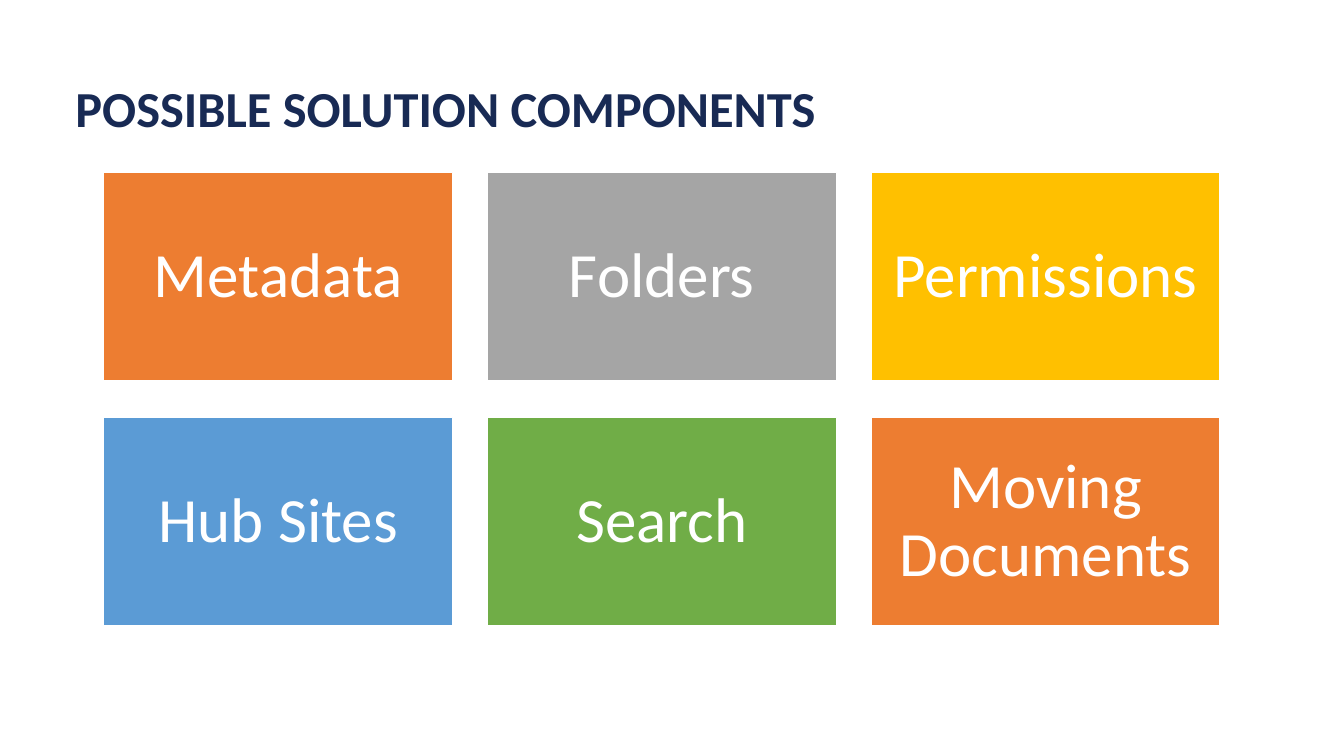
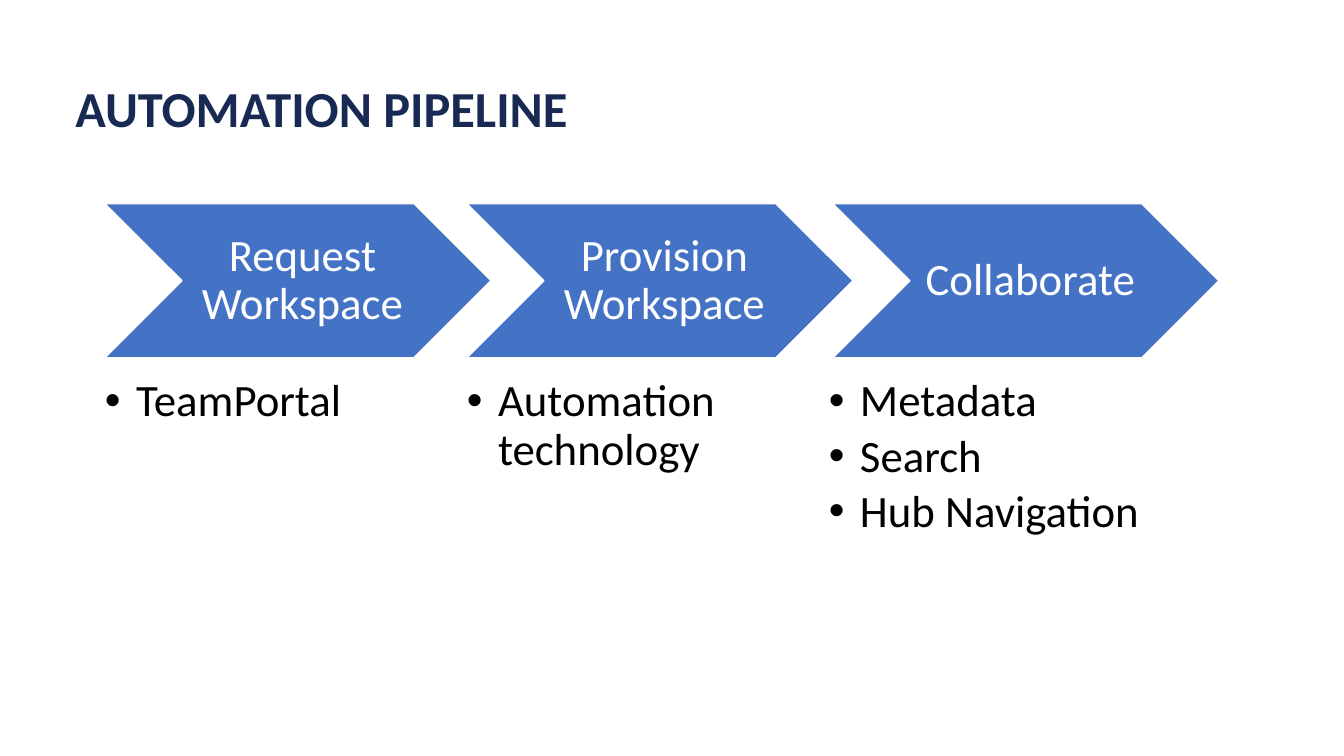
from lxml.etree import SubElement
from pptx import Presentation
from pptx.dml.color import RGBColor
from pptx.enum.shapes import MSO_SHAPE
from pptx.enum.text import MSO_ANCHOR, PP_ALIGN
from pptx.oxml.ns import qn
from pptx.util import Inches, Pt

NAVY = RGBColor(0x18, 0x2A, 0x54)
BLACK = RGBColor(0x00, 0x00, 0x00)
WHITE = RGBColor(0xFF, 0xFF, 0xFF)
ORANGE = RGBColor(0xED, 0x7D, 0x31)
GRAY = RGBColor(0xA5, 0xA5, 0xA5)
GOLD = RGBColor(0xFF, 0xC0, 0x00)
SKY = RGBColor(0x5B, 0x9B, 0xD5)
GREEN = RGBColor(0x70, 0xAD, 0x47)
BLUE = RGBColor(0x44, 0x72, 0xC4)


class Deck:
    FONT = "Calibri"
    BULLET_INDENT = Inches(0.31)

    def __init__(self):
        self.presentation = Presentation()
        self.presentation.slide_width = Inches(13.33)
        self.presentation.slide_height = Inches(7.5)
        self.slide = None

    def add_slide(self, title):
        layout = self.presentation.slide_layouts[6]
        self.slide = self.presentation.slides.add_slide(layout)
        heading = self.text_box(0.65, 0.78, 9.31, 0.7)
        self.style(heading.paragraphs[0], title, 36, NAVY, bold=True)

    def text_box(self, left, top, width, height):
        frame = self.slide.shapes.add_textbox(
            Inches(left), Inches(top), Inches(width), Inches(height)).text_frame
        frame.word_wrap = True
        return frame

    def style(self, paragraph, text, size, color, bold=False):
        paragraph.text = text
        paragraph.line_spacing = 0.9
        font = paragraph.font
        font.name, font.size, font.bold = self.FONT, Pt(size), bold
        font.color.rgb = color

    def block(self, preset, left, top, width, height, fill, text, size, insets):
        shape = self.slide.shapes.add_shape(
            preset, Inches(left), Inches(top), Inches(width), Inches(height))
        shape.shadow.inherit = False
        shape.fill.solid()
        shape.fill.fore_color.rgb = fill
        shape.line.color.rgb = WHITE
        shape.line.width = Pt(1)
        frame = shape.text_frame
        frame.word_wrap = True
        frame.vertical_anchor = MSO_ANCHOR.MIDDLE
        (frame.margin_left, frame.margin_top,
         frame.margin_right, frame.margin_bottom) = map(Inches, insets)
        label = frame.paragraphs[0]
        label.alignment = PP_ALIGN.CENTER
        self.style(label, text, size, WHITE)

    def tile(self, left, top, width, height, fill, text):
        self.block(MSO_SHAPE.RECTANGLE, left, top, width, height,
                   fill, text, 45, (0.19,) * 4)

    def chevron(self, left, top, width, height, text):
        self.block(MSO_SHAPE.CHEVRON, left, top, width, height,
                   BLUE, text, 32, (0.14, 0.05, 0.05, 0.05))

    def bullets(self, left, top, width, height, items):
        frame = self.text_box(left, top, width, height)
        frame.margin_left = frame.margin_top = 0
        frame.margin_right = frame.margin_bottom = 0
        for index, item in enumerate(items):
            paragraph = frame.add_paragraph() if index else frame.paragraphs[0]
            paragraph.space_after = Pt(5)
            properties = paragraph._p.get_or_add_pPr()
            properties.set("marL", str(self.BULLET_INDENT))
            properties.set("indent", str(-self.BULLET_INDENT))
            SubElement(properties, qn("a:buFont")).set("typeface", "Arial")
            SubElement(properties, qn("a:buChar")).set("char", "•")
            self.style(paragraph, item, 32, BLACK)

    def save(self):
        self.presentation.save("out.pptx")


def add_components(deck):
    deck.add_slide("POSSIBLE SOLUTION COMPONENTS")
    components = [
        ("Metadata", ORANGE), ("Folders", GRAY), ("Permissions", GOLD),
        ("Hub Sites", SKY), ("Search", GREEN), ("Moving Documents", ORANGE),
    ]
    # Grid of three columns between fixed left and right edges
    columns, left, right, top = 3, 1.03, 12.1, 1.71
    width, height = 3.46, 2.07
    gap = (right - left - columns * width) / (columns - 1)
    row_gap = 0.36
    for index, (name, fill) in enumerate(components):
        row, column = divmod(index, columns)
        deck.tile(left + column * (width + gap), top + row * (height + row_gap),
                  width, height, fill, name)


def add_pipeline(deck):
    deck.add_slide("AUTOMATION PIPELINE")
    # Chevron left edge, stage, details
    stages = [
        (1.04, "Request Workspace", ["TeamPortal"]),
        (4.63, "Provision Workspace", ["Automation technology"]),
        (8.26, "Collaborate", ["Metadata", "Search", "Hub Navigation"]),
    ]
    details_left, details_pitch = 1.04, 3.59
    for index, (left, stage, details) in enumerate(stages):
        deck.chevron(left, 2.02, 3.83, 1.53, stage)
        deck.bullets(details_left + index * details_pitch, 3.75, 3.13, 2.15, details)


def main():
    deck = Deck()
    add_components(deck)
    add_pipeline(deck)
    deck.save()


if __name__ == "__main__":
    main()
